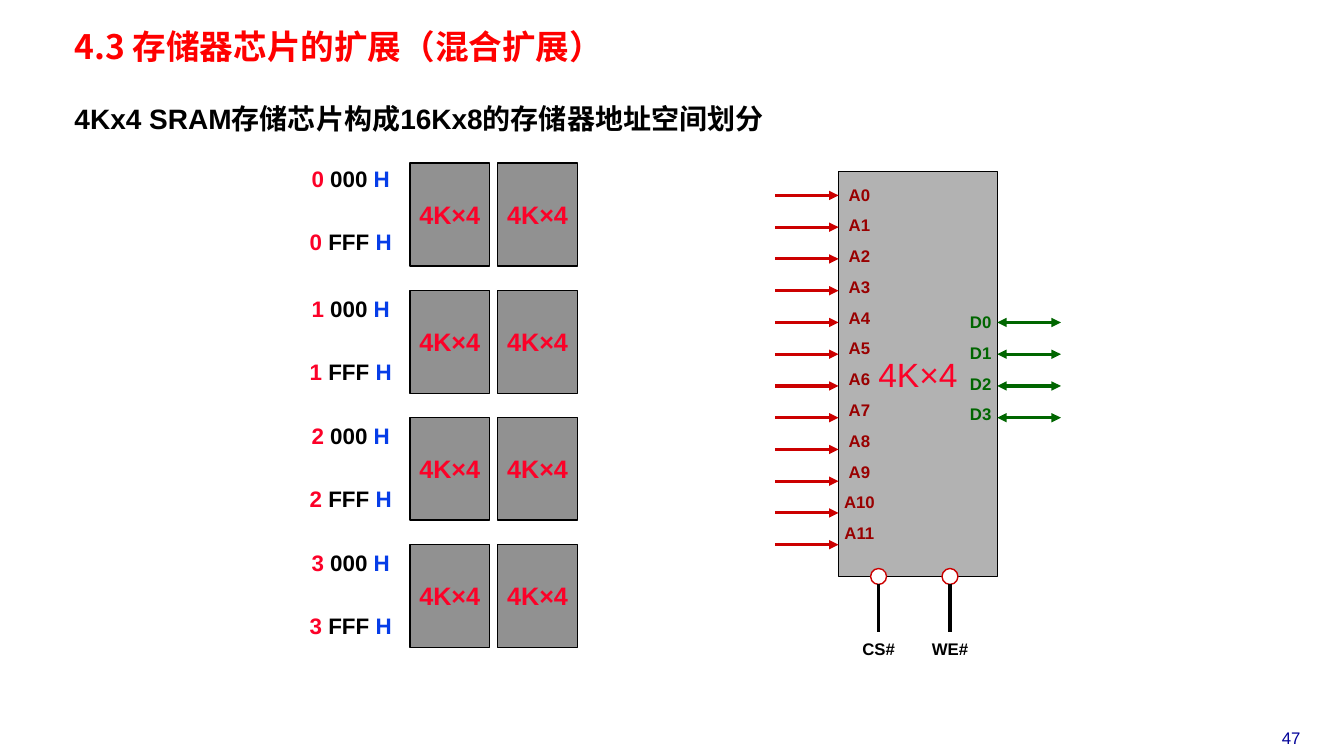
from lxml import etree
from pptx import Presentation
from pptx.dml.color import RGBColor
from pptx.enum import shapes, text
from pptx.oxml.ns import qn
from pptx.util import Pt

BLACK = RGBColor(0x00, 0x00, 0x00)
WHITE = RGBColor(0xFF, 0xFF, 0xFF)
NAVY = RGBColor(0x00, 0x00, 0x99)
TITLE = RGBColor(0xFF, 0x00, 0x00)
RED = RGBColor(0xFC, 0x01, 0x28)
BLUE = RGBColor(0x06, 0x3D, 0xE8)
GREEN = RGBColor(0x00, 0x66, 0x00)
MAROON = RGBColor(0x99, 0x00, 0x00)
WIRE = RGBColor(0xCC, 0x00, 0x00)
SILVER = RGBColor(0xB2, 0xB2, 0xB2)
GREY = RGBColor(0x91, 0x91, 0x91)
CJK = "Noto Sans CJK SC"


def style(para, size, color=None, bold=True, name="Arial"):
    """Set the font of a whole paragraph."""
    font = para.font
    font.size, font.bold, font.name = Pt(size), bold, name
    if color is not None:
        font.color.rgb = color
    props = para._p.pPr.find(qn("a:defRPr"))
    etree.SubElement(props, qn("a:ea")).set("typeface", CJK)


def place(shape, box):
    """Move a shape to a box given in points."""
    shape.left, shape.top, shape.width, shape.height = map(Pt, box)


def holder(shape, box, words, size, color, name):
    """Fill a placeholder with one line of heading text."""
    place(shape, box)
    frame = shape.text_frame
    frame.margin_left = frame.margin_right = Pt(5)
    frame.margin_top = frame.margin_bottom = Pt(2.2)
    frame.auto_size = text.MSO_AUTO_SIZE.NONE
    frame.vertical_anchor = text.MSO_ANCHOR.TOP
    frame.text = words
    para = frame.paragraphs[0]
    para.alignment = text.PP_ALIGN.LEFT
    para.space_before = Pt(0)
    props = para._p.get_or_add_pPr()
    props.set("marL", "0")
    props.set("indent", "0")
    etree.SubElement(props, qn("a:buNone"))
    style(para, size, color, name=name)
    return para


def label(slide, box, lines, size, color, gap=0, bold=True, inset=7.2):
    """Add centred lines, each a string or a list of (words, color) runs."""
    shape = slide.shapes.add_textbox(*map(Pt, box))
    frame = shape.text_frame
    frame.word_wrap = True
    frame.margin_left = Pt(inset)
    for i, line in enumerate(lines):
        para = frame.paragraphs[0] if i == 0 else frame.add_paragraph()
        para.alignment = text.PP_ALIGN.CENTER
        para.space_before = Pt(gap if i else 0)
        style(para, size, color, bold)
        parts = [(line, None)] if isinstance(line, str) else line
        for words, tint in parts:
            run = para.add_run()
            run.text = words
            if tint is not None:
                run.font.color.rgb = tint


def block(slide, kind, box, fill, edge):
    """Add a filled and outlined preset shape."""
    shape = slide.shapes.add_shape(kind, *map(Pt, box))
    shape.shadow.inherit = False
    shape.fill.solid()
    shape.fill.fore_color.rgb = fill
    shape.line.color.rgb = edge
    shape.line.width = Pt(1)
    return shape


def chip(slide, box, fill, size, bold):
    """Add a memory chip with its capacity in the middle."""
    shape = block(slide, shapes.MSO_SHAPE.RECTANGLE, box, fill, BLACK)
    frame = shape.text_frame
    frame.word_wrap = False
    frame.vertical_anchor = text.MSO_ANCHOR.MIDDLE
    frame.text = "4K×4"
    frame.paragraphs[0].alignment = text.PP_ALIGN.CENTER
    style(frame.paragraphs[0], size, RED, bold)


def wire(slide, start, end, color, heads=()):
    """Add a straight line with arrowheads at the named ends."""
    line = slide.shapes.add_connector(
        shapes.MSO_CONNECTOR.STRAIGHT, *map(Pt, start + end))
    line.line.color.rgb = color
    line.line.width = Pt(2.25)
    stroke = line.line._get_or_add_ln()
    for head in heads:
        etree.SubElement(stroke, qn(f"a:{head}")).set("type", "triangle")
    etree.SubElement(line._element.spPr, qn("a:effectLst"))


def bank(slide, box, row):
    """Add one row of the address map: its range and two chips."""
    x, y, w, h = box
    ends = [[(f"{row} ", RED), (f"{word} ", BLACK), ("H", BLUE)]
            for word in ("000", "FFF")]
    lift = 0 if row else 2.2
    label(slide, (x, y - lift, 85, 76), ends, 16, BLACK, 25.9)
    for side in (w - 119.7, w - 57):
        chip(slide, (x + side, y, 57, h), GREY, 18, True)


def pinout(slide, box):
    """Add the large chip with address, data and control pins."""
    x, y, w, h = box
    step, reach = 22.68, 45.4
    chip(slide, box, SILVER, 24, False)
    for i in range(12):
        level = y + 17.2 + i * step
        wire(slide, (x - reach, level), (x, level), WIRE, ["tailEnd"])
    label(slide, (x, y + 5.8, 34, 271), [f"A{i}" for i in range(12)],
          12, MAROON, 7.56, inset=2.9)
    for i in range(4):
        level = y + 17.2 + (i + 4) * step
        wire(slide, (x + w, level), (x + w + reach, level), GREEN,
             ["headEnd", "tailEnd"])
    label(slide, (x + w - 34.6, y + 96.8, 45.4, 90),
          [f"D{i}" for i in range(4)], 12, GREEN, 7.56)
    for name, side in (("CS#", 28.6), ("WE#", 79.6)):
        mid, foot = x + side, y + h
        block(slide, shapes.MSO_SHAPE.OVAL,
              (mid - 5.7, foot - 5.7, 11.4, 11.4), WHITE, WIRE)
        wire(slide, (mid, foot + 5.7), (mid, foot + 39.6), BLACK)
        label(slide, (mid - 22.7, foot + 41, 45.4, 21.6), [name], 12, BLACK)


def main():
    """Build the slide and save it."""
    deck = Presentation()
    deck.slide_width, deck.slide_height = Pt(960), Pt(540)
    slide = deck.slides.add_slide(deck.slide_layouts[1])
    title, body = slide.placeholders
    head = holder(title, (48.2, 20.2, 414, 29.5),
                  "4.3 存储器芯片的扩展（混合扩展）", 24, TITLE, CJK)
    head.line_spacing = 0.87
    holder(body, (48.2, 70.6, 629, 28),
           "4Kx4 SRAM存储芯片构成16Kx8的存储器地址空间划分", 20, BLACK, "Arial")
    for row in range(4):
        bank(slide, (208, 116.6 + row * 90.72, 204.5, 73.6), row)
    pinout(slide, (599, 122.4, 113.4, 289.4))
    label(slide, (888.5, 516.2, 67.7, 21.6), ["47"], 12, NAVY, bold=False)
    deck.save("out.pptx")


if __name__ == "__main__":
    main()
